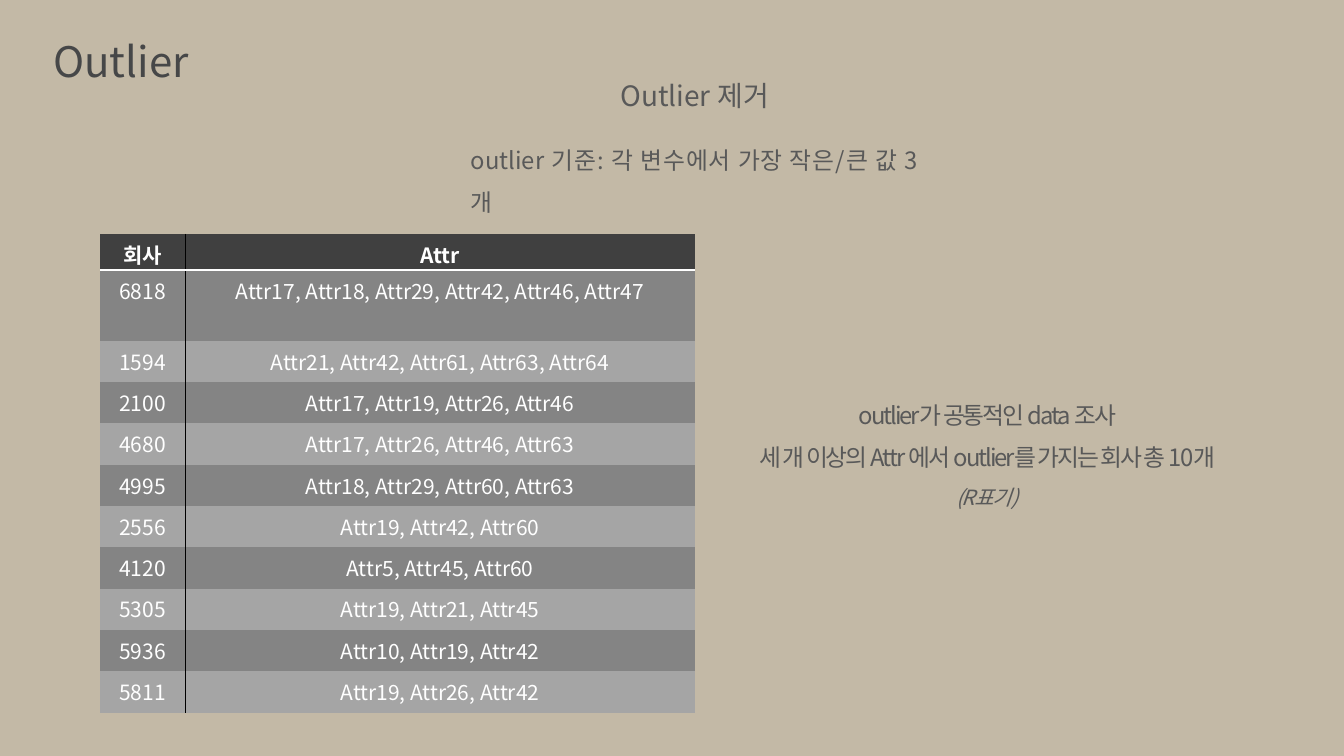
from lxml.etree import SubElement
from pptx import Presentation
from pptx.dml.color import RGBColor
from pptx.enum.text import MSO_ANCHOR, MSO_AUTO_SIZE, PP_ALIGN
from pptx.oxml import parse_xml
from pptx.oxml.ns import nsdecls, qn
from pptx.util import Inches, Pt

FONT = "Noto Sans CJK KR"
NO_STYLE = "{2D5ABB26-0587-4C30-8999-92F81FD0307C}"
SAND = RGBColor(0xC3, 0xB9, 0xA6)
TITLE_GRAY = RGBColor(0x46, 0x47, 0x48)
TEXT_GRAY = RGBColor(0x59, 0x59, 0x59)
HEADER_GRAY = RGBColor(0x40, 0x40, 0x40)
DARK_BAND = RGBColor(0x84, 0x84, 0x84)
LIGHT_BAND = RGBColor(0xA5, 0xA5, 0xA5)
WHITE = RGBColor(0xFF, 0xFF, 0xFF)
BLACK = RGBColor(0, 0, 0)

OUTLIERS = [
    ("회사", "Attr"),
    ("6818", "Attr17, Attr18, Attr29, Attr42, Attr46, Attr47"),
    ("1594", "Attr21, Attr42, Attr61, Attr63, Attr64"),
    ("2100", "Attr17, Attr19, Attr26, Attr46"),
    ("4680", "Attr17, Attr26, Attr46, Attr63"),
    ("4995", "Attr18, Attr29, Attr60, Attr63"),
    ("2556", "Attr19, Attr42, Attr60"),
    ("4120", "Attr5, Attr45, Attr60"),
    ("5305", "Attr19, Attr21, Attr45"),
    ("5936", "Attr10, Attr19, Attr42"),
    ("5811", "Attr19, Attr26, Attr42"),
]


def add_run(p, text, size, color, bold=False, italic=False, spacing=0):
    r = p.add_run()
    r.text = text
    r.font.size = Pt(size)
    r.font.bold = bold
    r.font.italic = italic
    r.font.color.rgb = color
    r.font.name = FONT
    rPr = r.font._element
    SubElement(rPr, qn("a:ea")).set("typeface", FONT)
    if spacing:
        rPr.set("spc", str(int(spacing * 100)))


def fill_text(sp, lines, color, align=PP_ALIGN.CENTER, line_spacing=1.0, spacing=0):
    tf = sp.text_frame
    tf.word_wrap = True
    tf.auto_size = MSO_AUTO_SIZE.SHAPE_TO_FIT_TEXT
    tf.vertical_anchor = MSO_ANCHOR.TOP
    for i, (text, size, italic) in enumerate(lines):
        p = tf.add_paragraph() if i else tf.paragraphs[0]
        p.alignment = align
        p.line_spacing = line_spacing
        p.space_before = Pt(0)
        add_run(p, text, size, color, italic=italic, spacing=spacing)


def add_title(s, text):
    sp = s.shapes.title
    sp.left, sp.top, sp.width, sp.height = map(Inches, (-0.46, 0.3, 3.32, 0.61))
    fill_text(sp, [(text, 30, False)], TITLE_GRAY)


def add_text(s, box, lines, **style):
    sp = s.shapes.add_textbox(*map(Inches, box))
    fill_text(sp, lines, TEXT_GRAY, **style)


def set_borders(cell, borders):
    tcPr = cell._tc.get_or_add_tcPr()
    for i, (side, color, width) in enumerate(borders):
        tcPr.insert(i, parse_xml(
            f'<a:{side} {nsdecls("a")} w="{Pt(width)}"><a:solidFill>'
            f'<a:srgbClr val="{color}"/></a:solidFill></a:{side}>'))


def add_outlier_table(s):
    frame = s.shapes.add_table(len(OUTLIERS), 2, Inches(0.99), Inches(2.32),
                               Inches(5.9), Inches(4.75))
    table = frame.table
    table._tbl.tblPr.find(qn("a:tableStyleId")).text = NO_STYLE
    table.horz_banding = False
    for column, width in zip(table.columns, (0.85, 5.05)):
        column.width = Inches(width)
    heights = [0.36, 0.7] + [0.41] * (len(OUTLIERS) - 2)
    for i, (values, height) in enumerate(zip(OUTLIERS, heights)):
        table.rows[i].height = Inches(height)
        header = i == 0
        band = HEADER_GRAY if header else DARK_BAND if i % 2 else LIGHT_BAND
        for j, value in enumerate(values):
            cell = table.cell(i, j)
            cell.margin_bottom = 0
            cell.fill.solid()
            cell.fill.fore_color.rgb = band
            borders = [("lnL" if j else "lnR", BLACK, 1)]
            if header:
                borders.append(("lnB", WHITE, 2))
            set_borders(cell, borders)
            p = cell.text_frame.paragraphs[0]
            p.alignment = PP_ALIGN.CENTER
            add_run(p, value, 15, WHITE, bold=header)


def main():
    prs = Presentation()
    prs.slide_width, prs.slide_height = Inches(13.33), Inches(7.5)
    s = prs.slides.add_slide(prs.slide_layouts[5])
    s.background.fill.solid()
    s.background.fill.fore_color.rgb = SAND

    add_title(s, "Outlier")
    add_text(s, (4.16, 0.73, 5.46, 0.44), [("Outlier 제거", 20, False)])
    add_text(s, (7.31, 3.78, 4.97, 1.39), [
        ("outlier가 공통적인 data 조사", 17, False),
        ("세 개 이상의 Attr 에서 outlier를 가지는 회사 총 10개", 17, False),
        ("(R표기)", 15, True),
    ], line_spacing=1.5, spacing=-1.5)
    add_outlier_table(s)
    add_text(s, (4.57, 1.25, 4.63, 0.53),
             [("outlier 기준: 각 변수에서 가장 작은/큰 값 3개", 17, False)],
             align=PP_ALIGN.JUSTIFY, line_spacing=1.5)
    prs.save("out.pptx")


if __name__ == "__main__":
    main()
